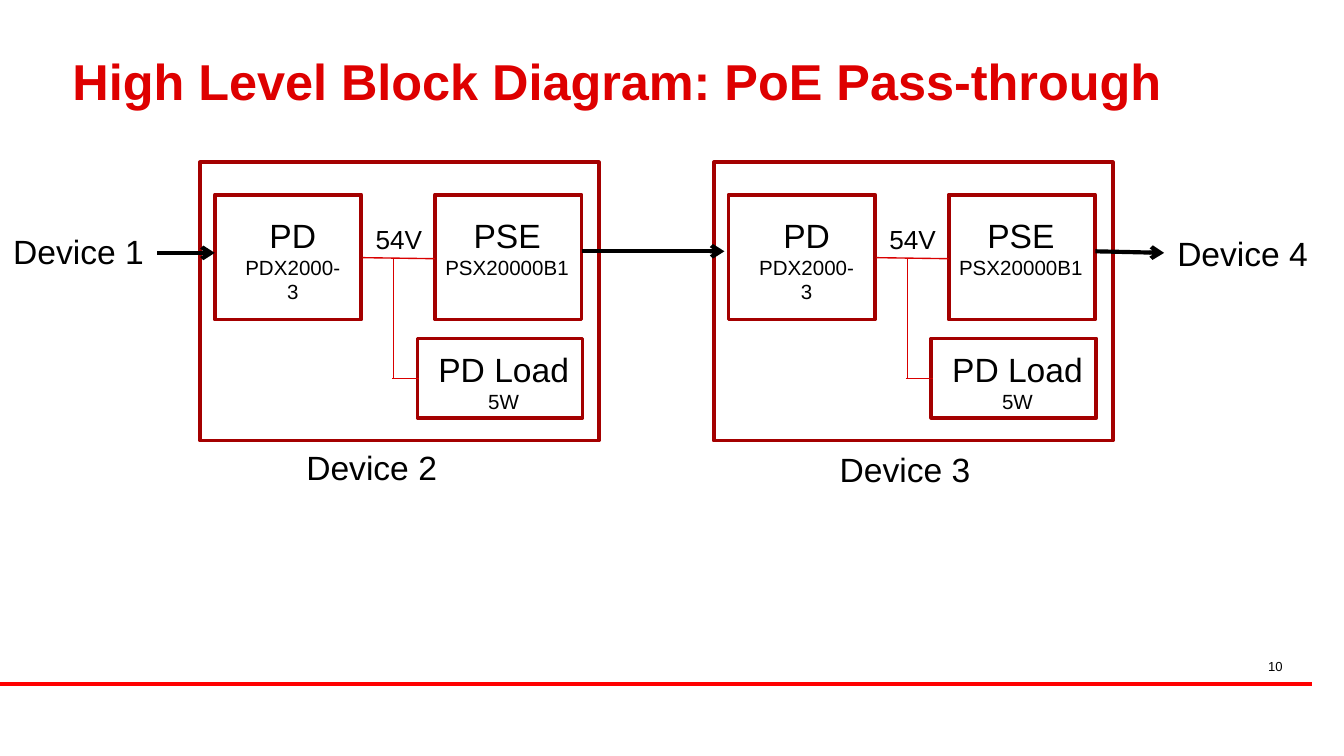
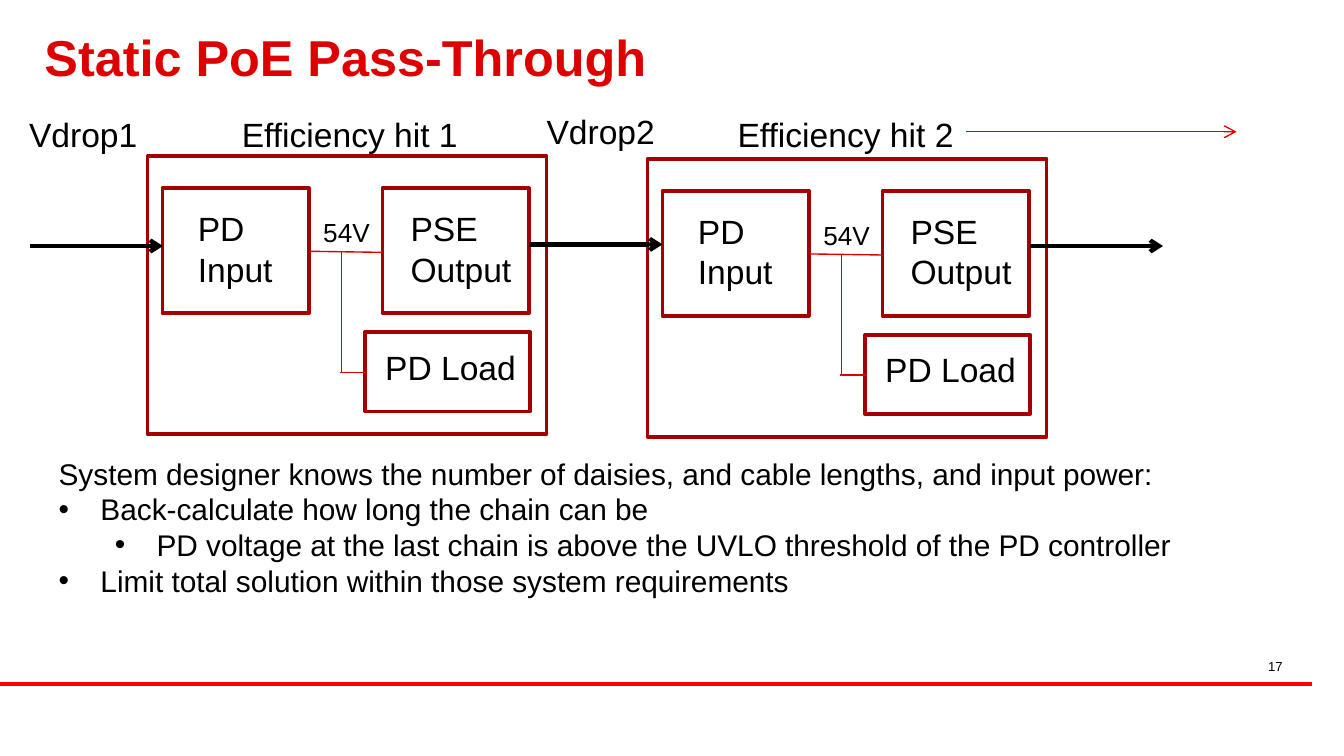
import dataclasses

import pptx
import pptx.dml.color
import pptx.enum.shapes
import pptx.enum.text
import pptx.oxml
import pptx.oxml.ns
import pptx.util

Cm = pptx.util.Cm
Pt = pptx.util.Pt
ALIGN = pptx.enum.text.PP_ALIGN
ANCHOR = pptx.enum.text.MSO_ANCHOR
AUTO_SIZE = pptx.enum.text.MSO_AUTO_SIZE
TITLE_ONLY = 5


@dataclasses.dataclass(frozen=True)
class Theme:
    font: str = "Arial"
    title: str = "DE0000"
    text: str = "000000"
    frame: str = "A40000"
    wire: str = "D90000"
    band: str = "FF0000"
    title_size: float = 27
    label_size: float = 18
    body_size: float = 16
    volt_size: float = 14
    part_size: float = 11
    number_size: float = 7
    frame_width: float = 2
    heavy: float = 2.25
    thin: float = 0.75


def rgb(code):
    return pptx.dml.color.RGBColor.from_string(code)


class Deck:
    """Holds the theme, the presentation and the slide being drawn."""

    def __init__(self, theme):
        self.theme = theme
        self.prs = pptx.Presentation()
        self.prs.slide_width = Cm(25.4)
        self.prs.slide_height = Cm(14.29)
        self.s = None

    def slide(self, title, left, top, number):
        t = self.theme
        self.s = self.prs.slides.add_slide(self.prs.slide_layouts[TITLE_ONLY])
        self.line((0, 12.93), (24.79, 12.93), t.band, t.heavy)
        sp = self.s.shapes.title
        sp.left, sp.top, sp.width, sp.height = Cm(left), Cm(top), Cm(23.5), Cm(1.7)
        tf = sp.text_frame
        tf.text = title
        tf.auto_size = AUTO_SIZE.NONE
        tf.vertical_anchor = ANCHOR.MIDDLE
        self.insets(tf)
        p = tf.paragraphs[0]
        p.alignment = ALIGN.LEFT
        p.line_spacing = 0.85
        self.style(p, t.title_size, t.title, bold=True)
        tf = self.text(18.52, 12.34, 5.92, 0.43, [(number, t.number_size)],
                       ALIGN.RIGHT, wrap=True, grow=False)
        self.insets(tf)

    def insets(self, tf):
        tf.margin_left = tf.margin_right = Cm(0.2)
        tf.margin_top = tf.margin_bottom = Cm(0.1)

    def style(self, p, size, color, bold=False):
        for r in p.runs:
            r.font.name = self.theme.font
            r.font.size = Pt(size)
            r.font.bold = bold
            r.font.color.rgb = rgb(color)

    def line(self, start, end, color, width, arrow=False):
        cx = self.s.shapes.add_connector(
            pptx.enum.shapes.MSO_CONNECTOR.STRAIGHT,
            Cm(start[0]), Cm(start[1]), Cm(end[0]), Cm(end[1]))
        cx.line.color.rgb = rgb(color)
        cx.line.width = Pt(width)
        if arrow:
            ln = cx.line._get_or_add_ln()
            tail = pptx.oxml.ns.qn("a:tailEnd")
            ln.append(ln.makeelement(tail, {"type": "arrow"}))
        spPr = cx._element.spPr
        spPr.append(spPr.makeelement(pptx.oxml.ns.qn("a:effectLst"), {}))

    def wire(self, start, end):
        self.line(start, end, self.theme.wire, self.theme.thin)

    def power_arrow(self, start, end):
        self.line(start, end, self.theme.text, self.theme.heavy, arrow=True)

    def frame(self, left, top, width, height):
        sp = self.s.shapes.add_shape(
            pptx.enum.shapes.MSO_SHAPE.RECTANGLE,
            Cm(left), Cm(top), Cm(width), Cm(height))
        sp.shadow.inherit = False
        sp.fill.background()
        sp.line.color.rgb = rgb(self.theme.frame)
        sp.line.width = Pt(self.theme.frame_width)

    def text(self, left, top, width, height, lines, align=ALIGN.LEFT,
             wrap=False, grow=True):
        """Add a text box; lines are (text, size) pairs."""
        sp = self.s.shapes.add_textbox(Cm(left), Cm(top), Cm(width), Cm(height))
        tf = sp.text_frame
        tf.text = "\n".join(line for line, _ in lines)
        tf.word_wrap = wrap
        tf.auto_size = AUTO_SIZE.SHAPE_TO_FIT_TEXT if grow else AUTO_SIZE.NONE
        for p, (_, size) in zip(tf.paragraphs, lines):
            p.alignment = align
            self.style(p, size, self.theme.text)
        return tf

    def label(self, left, top, width, text):
        self.text(left, top, width, 1.02, [(text, self.theme.label_size)])

    def bullet(self, p, level, margin):
        p.level = level
        pPr = p._p.get_or_add_pPr()
        pPr.set("marL", str(Cm(margin)))
        pPr.set("indent", str(Cm(-0.79)))
        for tag, key, value in (("a:buFont", "typeface", self.theme.font),
                                ("a:buChar", "char", "•")):
            pPr.append(pPr.makeelement(pptx.oxml.ns.qn(tag), {key: value}))

    def device(self, x, y):
        """Draw the frames and the 54 V wiring of one pass-through device."""
        self.frame(x, y, 7.54, 5.26)
        for dx in (0.28, 4.44):
            self.frame(x + dx, y + 0.61, 2.77, 2.36)
        self.frame(x + 4.11, y + 3.33, 3.12, 1.5)
        self.wire((x + 3.07, y + 1.8), (x + 4.44, y + 1.82))
        self.wire((x + 3.66, y + 1.82), (x + 3.66, y + 4.09))
        self.wire((x + 3.63, y + 4.09), (x + 4.14, y + 4.09))
        self.text(x + 3.07, y + 1.02, 1.4, 0.86, [("54V", self.theme.volt_size)])


def block_diagram(deck):
    big, small = deck.theme.label_size, deck.theme.part_size
    deck.slide("High Level Block Diagram: PoE Pass-through", 1.17, 0.76, "10")
    y = 3.07
    for x in (3.78, 13.49):
        deck.device(x, y)
        for dx, dy, width, name, detail, wrap in (
                (0.51, 0.86, 2.49, "PD", "PDX2000-3", True),
                (4.37, 0.86, 2.87, "PSE", "PSX20000B1", True),
                (4.24, 3.4, 3, "PD Load", "5W", False)):
            deck.text(x + dx, y + dy, width, 1.5,
                      [(name, big), (detail, small)], ALIGN.CENTER, wrap)
    for start, end in (((2.97, 4.78), (4.06, 4.78)),
                       ((11, 4.75), (13.69, 4.75)),
                       ((20.7, 4.75), (22, 4.78))):
        deck.power_arrow(start, end)
    places = ((0, 4.24), (5.54, 8.33), (15.62, 8.36), (22, 4.27))
    for i, (left, top) in enumerate(places, 1):
        deck.label(left, top, 3, f"Device {i}")


def static_pass_through(deck):
    t = deck.theme
    deck.slide("Static PoE Pass-Through", 0.64, 0.3, "17")
    for x, y in ((2.79, 2.95), (12.24, 3)):
        deck.device(x, y)
        for dx, width, name, role in ((0.7, 1.93, "PD", "Input"),
                                      (4.72, 2.44, "PSE", "Output")):
            deck.text(x + dx, y + 0.86, width, 1.8,
                      [(name, t.label_size), (role, t.label_size)])
        deck.label(x + 4.24, y + 3.48, 3, "PD Load")
    for x, y in ((0.56, 4.65), (10, 4.62), (19.46, 4.65)):
        deck.power_arrow((x, y), (x + 2.52, y))

    for left, top, width, text in ((0.3, 2.03, 2.59, "Vdrop1"),
                                   (4.32, 2.03, 4.62, "Efficiency hit 1"),
                                   (10.08, 1.98, 2.59, "Vdrop2"),
                                   (13.69, 2.03, 4.62, "Efficiency hit 2")):
        deck.label(left, top, width, text)
    deck.line((18.26, 2.49), (23.37, 2.49), t.wire, t.thin, arrow=True)

    notes = (
        "System designer knows the number of daisies, and cable lengths, and input power:",
        "Back-calculate how long the chain can be",
        "PD voltage at the last chain is above the UVLO threshold of the PD controller",
        "Limit total solution within those system requirements",
    )
    tf = deck.text(0.86, 8.48, 21.82, 3, [(note, t.body_size) for note in notes])
    for p, (level, margin) in zip(tf.paragraphs[1:],
                                  ((0, 0.79), (1, 1.85), (0, 0.79))):
        deck.bullet(p, level, margin)


def main():
    deck = Deck(Theme())
    block_diagram(deck)
    static_pass_through(deck)
    deck.prs.save("out.pptx")


if __name__ == "__main__":
    main()
